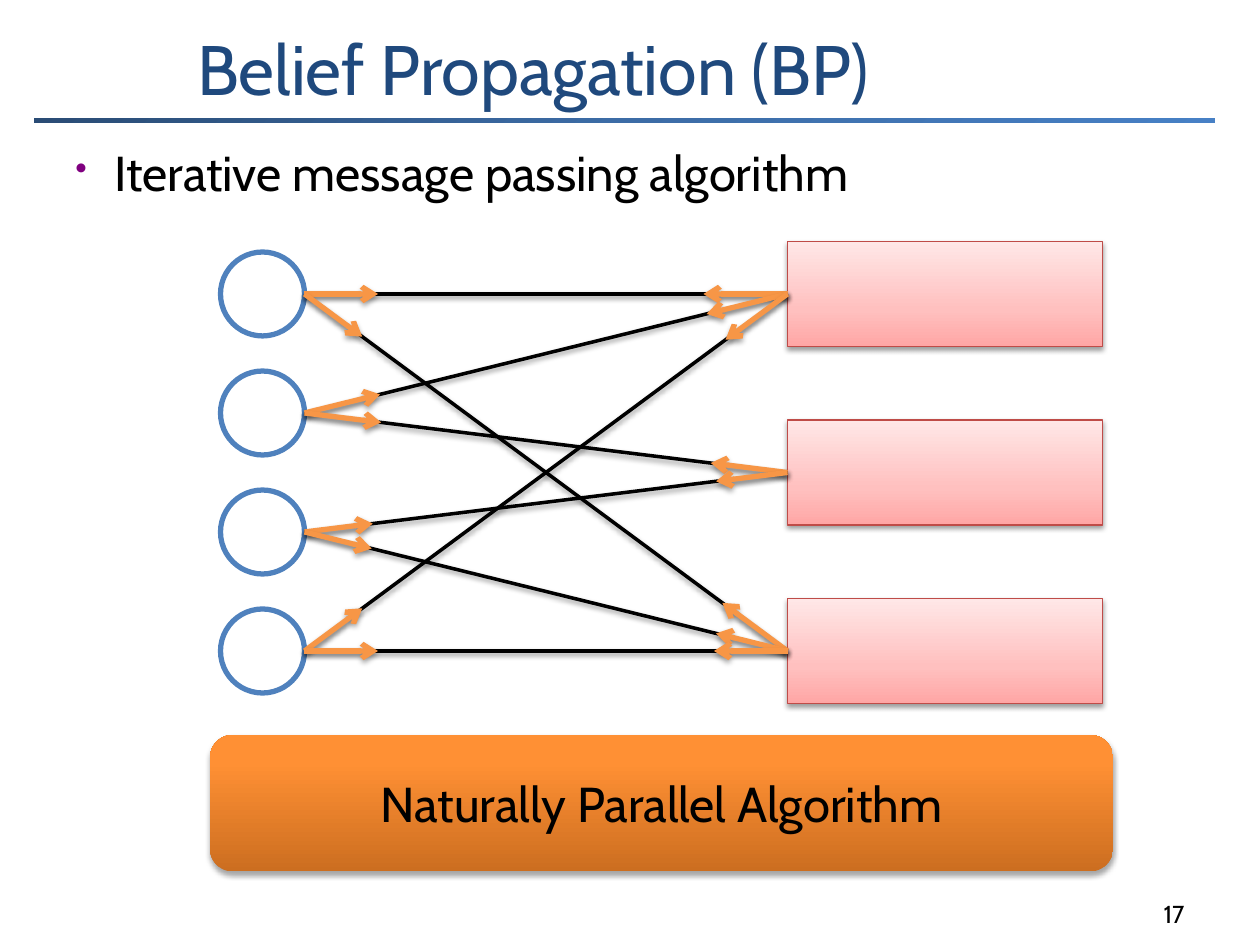
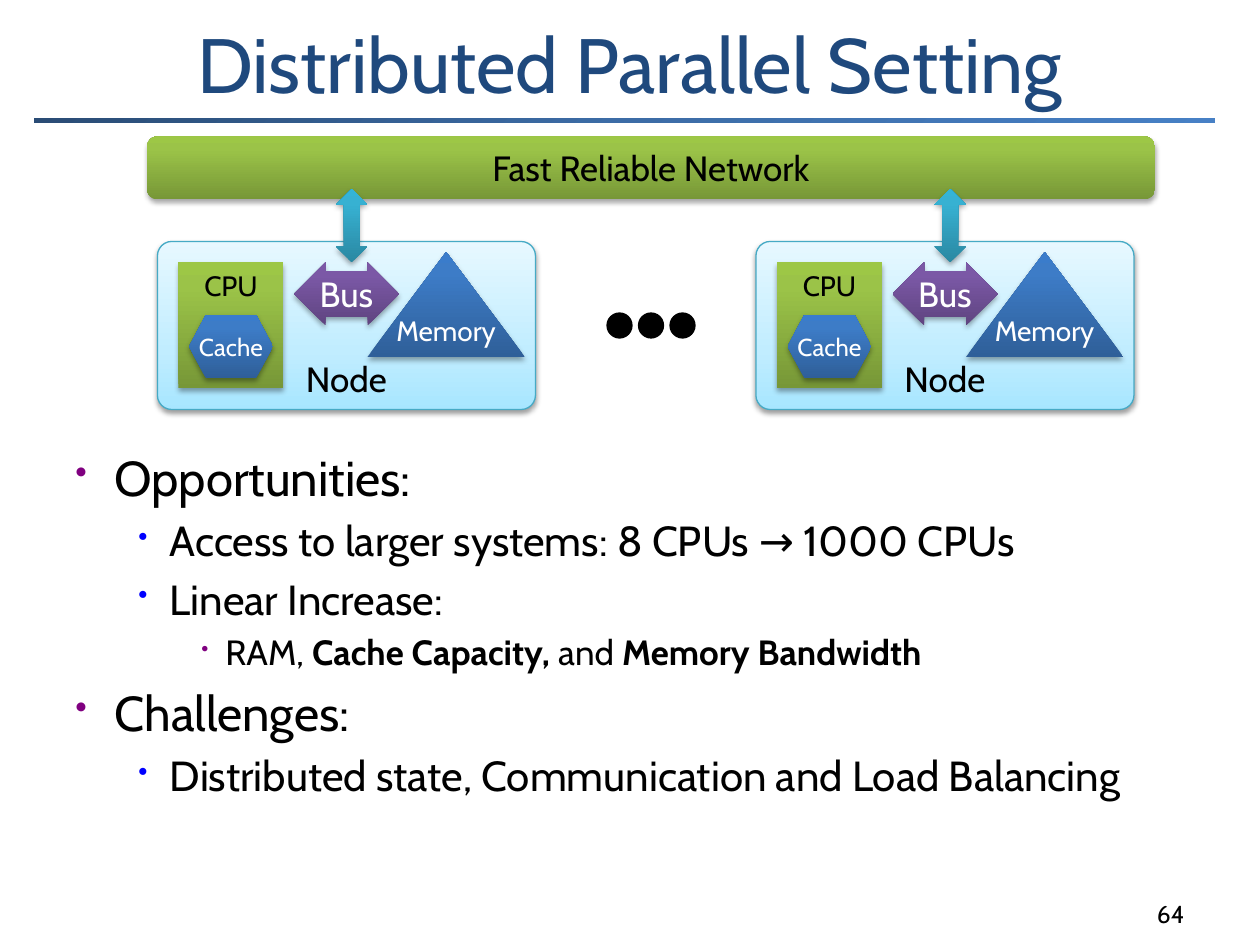
from lxml.etree import SubElement
from pptx import Presentation
from pptx.dml.color import RGBColor
from pptx.enum.shapes import MSO_CONNECTOR, MSO_SHAPE as Preset
from pptx.enum.text import MSO_ANCHOR as Anchor, PP_ALIGN as Align
from pptx.oxml.ns import qn
from pptx.util import Emu, Inches, Pt

# The page is a grid of 120 columns and 90 rows
COLUMNS, ROWS = 120, 90
UNIT = Inches(10) / COLUMNS
FONT = "Cabin"
BLACK, WHITE, NAVY, BLUE, ORANGE = "000000", "FFFFFF", "1F497D", "4F81BD", "F79646"

# Gradient stops: (percent, colour)
RULE_FILL = [(0, "2A4C75"), (50, "3C6CA6"), (100, "4780C5")]
PINK = [(0, "FFA6A5"), (35, "FFC0BF"), (100, "FFE7E7")]
AMBER = [(0, "CC6E20"), (80, "FF9034"), (100, "FF9136")]
GREEN = [(0, "779737"), (80, "9BC348"), (100, "9DC746")]
SKY = [(0, "A7E6FF"), (35, "C1EDFF"), (100, "E7F8FF")]
TEAL = [(0, "2A88A2"), (80, "37B1D2"), (100, "34B4D6")]
PURPLE = [(0, "5F4480"), (80, "7B58A6"), (100, "7C57A8")]
COBALT = [(0, "2F5F99"), (80, "3D7CC7"), (100, "3A7CCB")]

# Shadow distances in points
SOFT, STRONG = (38, 1.6), (35, 1.8)

# Bullet levels: size, left margin, hanging indent, bullet colour, bullet percent
LEVELS = [(28, 0.31, 0.31, "800080", 70),
          (24, 0.75, 0.25, "0000FF", 65),
          (20, 1.19, 0.19, "800080", 60)]


def colour(value):
    return RGBColor.from_string(value)


def grid(*lengths):
    return [Emu(round(length * UNIT)) for length in lengths]


def style_font(font, size, value=BLACK):
    font.name, font.size = FONT, Pt(size)
    font.color.rgb = colour(value)


def add_shadow(item, shadow):
    effects = SubElement(item.element.spPr, qn("a:effectLst"))
    if shadow:
        alpha, distance = shadow
        outer = SubElement(effects, qn("a:outerShdw"), blurRad=str(Pt(3.1)),
                           dist=str(Pt(distance)), dir="5400000", rotWithShape="0")
        tint = SubElement(outer, qn("a:srgbClr"), val=BLACK)
        SubElement(tint, qn("a:alpha"), val=str(alpha * 1000))


def fill_gradient(shape, stops, angle):
    shape.fill.gradient()
    shape.fill.gradient_angle = angle
    stop_list = shape.element.spPr.find(qn("a:gradFill")).find(qn("a:gsLst"))
    stop_list.clear()
    for percent, value in stops:
        stop = SubElement(stop_list, qn("a:gs"), pos=str(percent * 1000))
        SubElement(stop, qn("a:srgbClr"), val=value)


def add_block(shapes, preset, box, fill=None, line=None, shadow=None, adjust=(), angle=90):
    shape = shapes.add_shape(preset, *grid(*box))
    for index, value in enumerate(adjust):
        shape.adjustments[index] = value
    if fill is None:
        shape.fill.background()
    elif isinstance(fill, str):
        shape.fill.solid()
        shape.fill.fore_color.rgb = colour(fill)
    else:
        fill_gradient(shape, fill, angle)
    if line:
        value, width = line
        shape.line.color.rgb, shape.line.width = colour(value), Pt(width)
    else:
        shape.line.fill.background()
    add_shadow(shape, shadow)
    return shape


def add_label(shape, text, size, value=BLACK, anchor=Anchor.MIDDLE):
    frame = shape.text_frame
    frame.word_wrap, frame.vertical_anchor = False, anchor
    para = frame.paragraphs[0]
    para.text, para.alignment = text, Align.CENTER
    style_font(para.font, size, value)


def add_line(page, start, end, value, width, shadow, arrow=False):
    line = page.shapes.add_connector(MSO_CONNECTOR.STRAIGHT, *grid(*start, *end))
    line.line.color.rgb, line.line.width = colour(value), Pt(width)
    if arrow:
        SubElement(line.element.spPr.find(qn("a:ln")), qn("a:tailEnd"), type="arrow")
    add_shadow(line, shadow)
    return line


def add_text(page, box, text, size, value=BLACK, align=Align.LEFT):
    frame = page.shapes.add_textbox(*grid(*box)).text_frame
    frame.word_wrap, frame.vertical_anchor = True, Anchor.BOTTOM
    para = frame.paragraphs[0]
    para.text, para.alignment = text, align
    style_font(para.font, size, value)


def add_page(deck, title, size, number):
    """Blank page with the shared rule, title and page number."""
    page = deck.slides.add_slide(deck.slide_layouts[6])
    add_block(page.shapes, Preset.RECTANGLE, (3, 11, 113, 1), RULE_FILL, (WHITE, 3), angle=315)
    add_text(page, (17.6, 1, 98.4, 10), title, size, NAVY)
    add_text(page, (89, 83, 25, 6), number, 14, align=Align.RIGHT)
    return page


def add_bullets(page, box, items):
    """Each item is a level and its spans of (text, bold)."""
    frame = page.shapes.add_textbox(*grid(*box)).text_frame
    frame.word_wrap = True
    for index, (level, *spans) in enumerate(items):
        para = frame.add_paragraph() if index else frame.paragraphs[0]
        size, margin, hanging, value, percent = LEVELS[level]
        para.level = level
        props = para._p.get_or_add_pPr()
        props.set("marL", str(Inches(margin)))
        props.set("indent", str(-Inches(hanging)))
        SubElement(SubElement(props, qn("a:buClr")), qn("a:srgbClr"), val=value)
        SubElement(props, qn("a:buSzPct"), val=str(percent * 1000))
        SubElement(props, qn("a:buChar"), char="•")
        style_font(para.font, size)
        if index:
            para.space_before = Pt(size * 0.2)
        for text, bold in spans:
            span = para.add_run()
            span.text = text
            if bold:
                span.font.bold = True


def add_factor_graph(page, left, top):
    """Variables on the left, factors on the right, messages both ways."""
    circle, factor_width, factor_height, factor_left = 8, 30, 10, 54
    variable_step, factor_step = 34 / 3, 17
    # variable, factor, run of the message out, run of the message back
    edges = [(0, 0, 7, 8), (0, 2, 5.5, 6.2), (1, 0, 7.2, 7.7), (1, 1, 7.3, 7.3),
             (2, 1, 6.5, 6.8), (2, 2, 6.4, 6.8), (3, 0, 5.5, 5.9), (3, 2, 7, 7)]

    for index in range(4):
        add_block(page.shapes, Preset.OVAL,
                  (left, top + 1 + index * variable_step, circle, circle), line=(BLUE, 3))
    factors = [add_block(page.shapes, Preset.RECTANGLE,
                         (left + factor_left, top + index * factor_step,
                          factor_width, factor_height),
                         PINK, ("BF4C48", 0.75), SOFT) for index in range(3)]

    # Edges first, then the messages lying on them
    middle = top + factor_height / 2
    messages = []
    for variable, factor, out, back in edges:
        start = (left + circle, middle + variable * variable_step)
        end = (left + factor_left, middle + factor * factor_step)
        edge = add_line(page, start, end, BLACK, 2, SOFT)
        edge.end_connect(factors[factor], 1)
        slope = (end[1] - start[1]) / (end[0] - start[0])
        messages.append((start, (start[0] + out, start[1] + out * slope), None))
        messages.append((end, (end[0] - back, end[1] - back * slope), factors[factor]))
    for start, tip, sender in messages:
        message = add_line(page, start, tip, ORANGE, 3, STRONG, arrow=True)
        if sender:
            message.begin_connect(sender, 1)


def add_node(page, left, top):
    """One machine with its processor, bus, memory and network link."""
    shapes = page.shapes.add_group_shape().shapes

    def part(preset, box, fill, **options):
        column, row, width, height = box
        return add_block(shapes, preset, (left + column, top + row, width, height), fill,
                         **{"shadow": STRONG, **options})

    node = part(Preset.ROUNDED_RECTANGLE, (0, 0, 36, 16), SKY, line=("46AAC5", 0.75),
                shadow=SOFT, adjust=[0.085])
    add_label(node, "Node", 20, anchor=Anchor.BOTTOM)
    add_label(part(Preset.RECTANGLE, (2, 2, 10, 12), GREEN), "CPU", 16, anchor=Anchor.TOP)
    part(Preset.UP_DOWN_ARROW, (17, -5, 3, 7), TEAL, adjust=[0.611, 0.5])
    bus = part(Preset.LEFT_RIGHT_ARROW, (13, 2, 10, 6), PURPLE, adjust=[0.722, 0.5])
    add_label(bus, "Bus", 20, WHITE)
    add_label(part(Preset.FLOWCHART_EXTRACT, (20, 1, 15, 10), COBALT), "Memory", 16, WHITE)
    add_label(part(Preset.FLOWCHART_PREPARATION, (3, 7, 8, 6), COBALT), "Cache", 14, WHITE)


def add_ellipsis(page, left, top):
    shapes = page.shapes.add_group_shape().shapes
    for index in range(3):
        add_block(shapes, Preset.OVAL, (left + 3 * index, top, 2, 2), BLACK, (BLACK, 3))


def build_propagation(deck):
    page = add_page(deck, "Belief Propagation (BP)", 40, "17")
    add_bullets(page, (6, 13, 109, 10), [(0, ("Iterative message passing algorithm", False))])
    add_factor_graph(page, 21, 23)
    banner = add_block(page.shapes, Preset.ROUNDED_RECTANGLE, (20, 70, 86, 13), AMBER,
                       shadow=STRONG)
    add_label(banner, "Naturally Parallel Algorithm", 28)


def build_distributed(deck):
    page = add_page(deck, "Distributed Parallel Setting", 44, "64")
    add_bullets(page, (6, 42, 109, 42), [
        (0, ("Opportunities:", False)),
        (1, ("Access to larger systems: 8 CPUs → 1000 CPUs", False)),
        (1, ("Linear Increase:", False)),
        (2, ("RAM, ", False), ("Cache Capacity,", True), (" and ", False),
         ("Memory Bandwidth", True)),
        (0, ("Challenges:", False)),
        (1, ("Distributed state, Communication and Load Balancing", False)),
    ])
    network = add_block(page.shapes, Preset.ROUNDED_RECTANGLE, (14, 13, 96, 6), GREEN,
                        shadow=STRONG)
    add_label(network, "Fast Reliable Network", 20)
    for left in (15, 72):
        add_node(page, left, 23)
    add_ellipsis(page, 58, 30)


def main():
    deck = Presentation()
    deck.slide_width, deck.slide_height = grid(COLUMNS, ROWS)
    build_propagation(deck)
    build_distributed(deck)
    deck.save("out.pptx")


if __name__ == "__main__":
    main()
